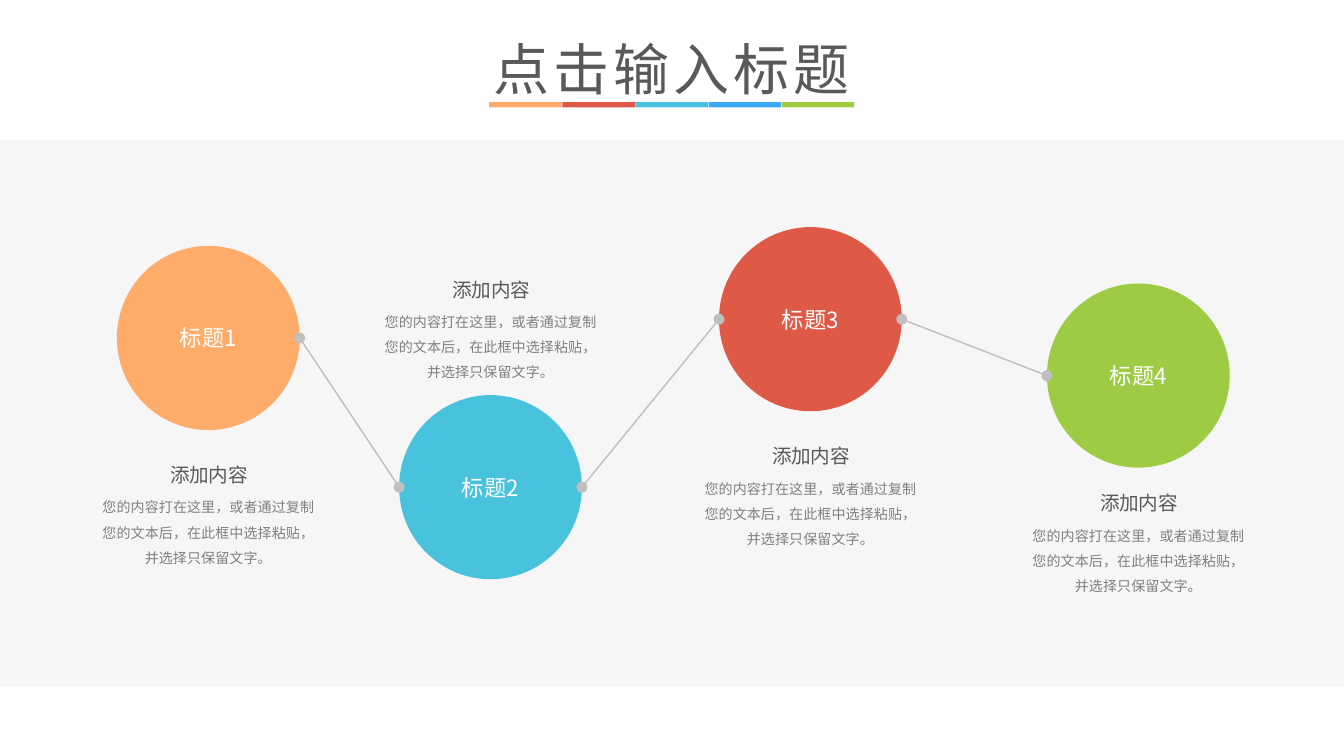
"""Build a slide with four linked topic circles and their captions."""
from dataclasses import dataclass
from itertools import pairwise

from lxml.etree import SubElement
from pptx import Presentation
from pptx.dml.color import RGBColor
from pptx.enum.shapes import MSO_CONNECTOR as Link, MSO_SHAPE as Preset
from pptx.enum.text import MSO_ANCHOR as Anchor, MSO_AUTO_SIZE as Fit, PP_ALIGN as Align
from pptx.oxml.ns import qn
from pptx.util import Inches, Pt

COLORS = {
    "orange": "FFAC6A", "red": "DF5947", "cyan": "49C2DD", "blue": "3BA9F8",
    "green": "9DCB43", "band": "F6F6F6", "link": "BFBFBF",
    "dark": "595959", "gray": "808080", "white": "FFFFFF",
}
SANS = "Noto Sans CJK SC"
SLIDE_WIDTH = 10
SLIDE_HEIGHT = SLIDE_WIDTH * 9 / 16
CIRCLE_WIDTH, CIRCLE_HEIGHT = 1.36, 1.37
STRIPE_WIDTH = 0.54
STRIPES_LEFT, STRIPES_RIGHT = 3.64, 6.36
STRIPE_COLORS = ("orange", "red", "cyan", "blue", "green")
CAPTION = "添加内容"
DETAIL = "\uff0c".join((
    "您的内容打在这里",
    "或者通过复制您的文本后",
    "在此框中选择粘贴",
    "并选择只保留文字。",
))


@dataclass(frozen=True)
class Topic:
    label: str
    color: str
    left: float
    top: float
    caption_top: float

    @property
    def right(self) -> float:
        return self.left + CIRCLE_WIDTH

    @property
    def middle(self) -> float:
        return self.top + CIRCLE_HEIGHT / 2


@dataclass(frozen=True)
class Style:
    size: float
    color: str
    font: str = SANS
    spacing: float | None = None
    tracking: int = 0


TITLE = Style(30, "dark", "Noto Sans CJK JP", tracking=220)
LABEL = Style(12, "white")
HEADING = Style(10.5, "dark", spacing=1.5)
BODY = Style(7.5, "gray", spacing=1.5)

CIRCLE_FRAME = {
    "margin_left": Inches(0.07), "margin_right": Inches(0.07),
    "margin_top": Inches(0.04), "margin_bottom": Inches(0.04),
    "vertical_anchor": Anchor.MIDDLE, "word_wrap": True,
}
BODY_FRAME = {
    "margin_left": Inches(0.08), "margin_right": Inches(0.08),
    "margin_top": Inches(0.04), "margin_bottom": Inches(0.04),
    "vertical_anchor": Anchor.TOP, "word_wrap": True,
    "auto_size": Fit.SHAPE_TO_FIT_TEXT,
}
HEADING_FRAME = BODY_FRAME | {"vertical_anchor": Anchor.MIDDLE}
TITLE_FRAME = {"word_wrap": False, "auto_size": Fit.SHAPE_TO_FIT_TEXT}

TOPICS = [
    Topic("标题1", "orange", 0.87, 1.83, 3.32),
    Topic("标题2", "cyan", 2.97, 2.94, 1.94),
    Topic("标题3", "red", 5.35, 1.69, 3.18),
    Topic("标题4", "green", 7.79, 2.11, 3.53),
]


def rgb(color: str) -> RGBColor:
    return RGBColor.from_string(COLORS[color])


def write(frame, text: str, style: Style, settings: dict) -> None:
    for attribute, value in settings.items():
        setattr(frame, attribute, value)
    paragraph = frame.paragraphs[0]
    paragraph.alignment = Align.CENTER
    if style.spacing:
        paragraph.line_spacing = style.spacing
    run = paragraph.add_run()
    run.text = text
    run.font.size = Pt(style.size)
    run.font.color.rgb = rgb(style.color)
    run.font.name = style.font
    properties = run.font._element
    SubElement(properties, qn("a:ea")).set("typeface", style.font)
    if style.tracking:
        properties.set("spc", str(style.tracking))


def add_text(shapes, box: tuple, text: str, style: Style, settings: dict) -> None:
    textbox = shapes.add_textbox(*map(Inches, box))
    write(textbox.text_frame, text, style, settings)


def add_filled(shapes, preset: Preset, box: tuple, color: str):
    shape = shapes.add_shape(preset, *map(Inches, box))
    shape.shadow.inherit = False
    shape.fill.solid()
    shape.fill.fore_color.rgb = rgb(color)
    shape.line.fill.background()
    return shape


def add_link(shapes, start: Topic, end: Topic) -> None:
    ends = (start.right, start.middle, end.left, end.middle)
    link = shapes.add_connector(Link.STRAIGHT, *map(Inches, ends))
    link.line.color.rgb = rgb("link")
    link.line.width = Pt(0.75)
    outline = link.line._get_or_add_ln()
    for tip in ("a:headEnd", "a:tailEnd"):
        SubElement(outline, qn(tip)).set("type", "oval")
    SubElement(link._element.spPr, qn("a:effectLst"))


def add_caption(shapes, topic: Topic) -> None:
    heading = (topic.left + 0.01, topic.caption_top, 1.35, 0.34)
    detail = (topic.left - 0.19, topic.caption_top + 0.29, 1.74, 0.64)
    add_text(shapes, heading, CAPTION, HEADING, HEADING_FRAME)
    add_text(shapes, detail, DETAIL, BODY, BODY_FRAME)


def main() -> None:
    deck = Presentation()
    deck.slide_width, deck.slide_height = Inches(SLIDE_WIDTH), Inches(SLIDE_HEIGHT)
    shapes = deck.slides.add_slide(deck.slide_layouts[6]).shapes

    pitch = (STRIPES_RIGHT - STRIPES_LEFT) / len(STRIPE_COLORS)
    for index, color in enumerate(STRIPE_COLORS):
        stripe = (STRIPES_LEFT + index * pitch, 0.76, STRIPE_WIDTH, 0.04)
        add_filled(shapes, Preset.RECTANGLE, stripe, color)
    add_filled(shapes, Preset.RECTANGLE, (0, 1.04, SLIDE_WIDTH, 4.07), "band")
    add_text(shapes, (3.54, 0.21, 2.92, 0.61), "点击输入标题", TITLE, TITLE_FRAME)

    for topic in TOPICS:
        box = (topic.left, topic.top, CIRCLE_WIDTH, CIRCLE_HEIGHT)
        circle = add_filled(shapes, Preset.OVAL, box, topic.color)
        write(circle.text_frame, topic.label, LABEL, CIRCLE_FRAME)
    for start, end in pairwise(TOPICS):
        add_link(shapes, start, end)
    for topic in TOPICS:
        add_caption(shapes, topic)

    deck.save("out.pptx")


main()
